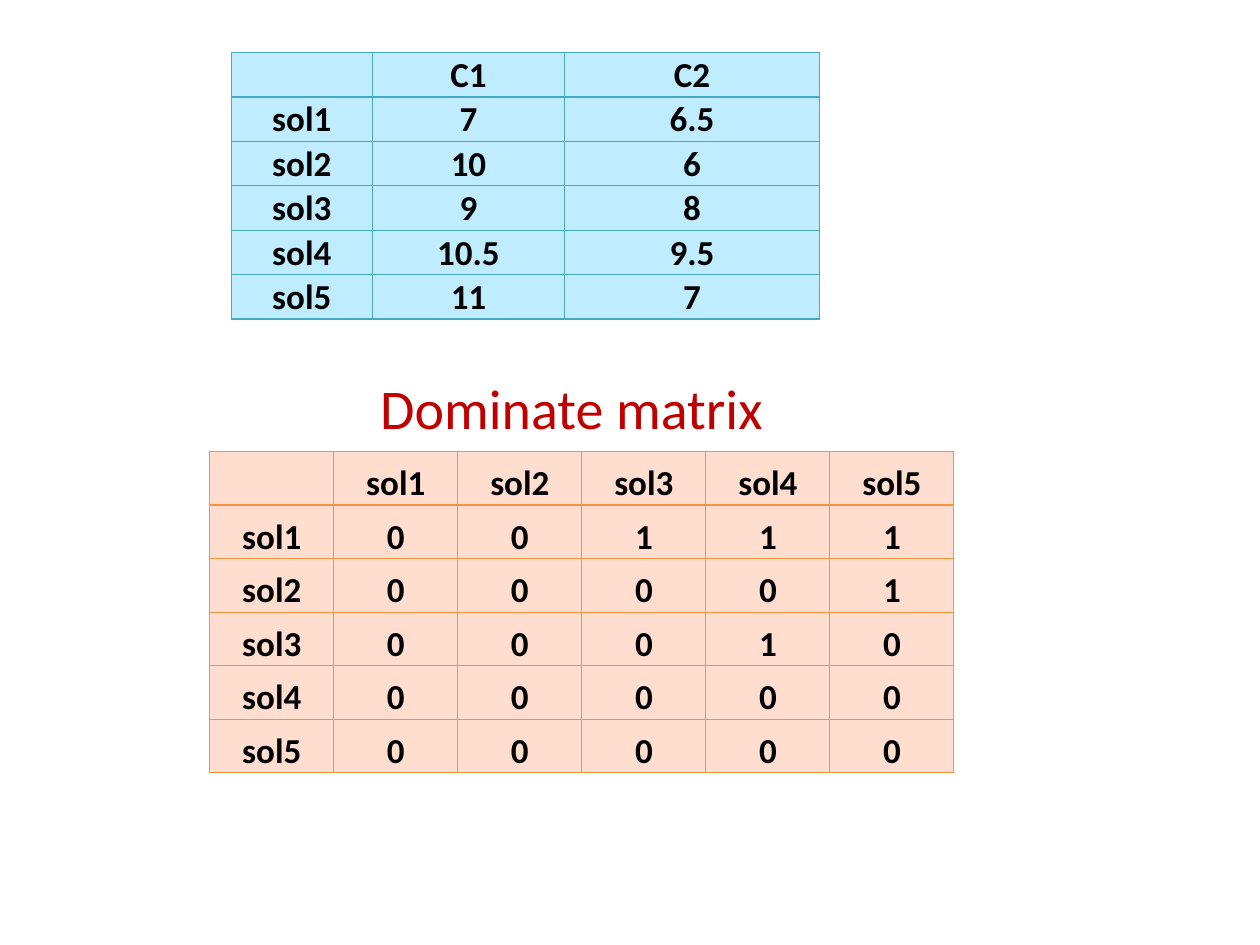
import pptx
import pptx.util
import pptx.dml.color
import pptx.enum.text
import pptx.oxml
import pptx.oxml.ns

Cm, Pt = pptx.util.Cm, pptx.util.Pt
PP_ALIGN, MSO_ANCHOR = pptx.enum.text.PP_ALIGN, pptx.enum.text.MSO_ANCHOR


def paint(color_format, hex_color):
    color_format.rgb = pptx.dml.color.RGBColor.from_string(hex_color)


def add_matrix(slide, left, top, widths, row_height, rows, fill, border):
    matrix = slide.shapes.add_table(
        len(rows), len(widths), Cm(left), Cm(top),
        Cm(sum(widths)), Cm(row_height * len(rows))).table
    for column, width in zip(matrix.columns, widths):
        column.width = Cm(width)
    for r, values in enumerate(rows):
        matrix.rows[r].height = Cm(row_height)
        for c, value in enumerate(values):
            cell = matrix.cell(r, c)
            cell.margin_left = cell.margin_right = cell.margin_top = Cm(0.03)
            cell.margin_bottom = 0
            cell.vertical_anchor = MSO_ANCHOR.BOTTOM
            # Borders come before the fill in the cell properties
            for side in ("lnL", "lnR", "lnT", "lnB"):
                cell._tc.get_or_add_tcPr().append(pptx.oxml.parse_xml(
                    f'<a:{side} {pptx.oxml.ns.nsdecls("a")} w="{Pt(0.75)}">'
                    f'<a:solidFill><a:srgbClr val="{border}"/></a:solidFill></a:{side}>'))
            cell.fill.solid()
            paint(cell.fill.fore_color, fill)
            if value:
                paragraph = cell.text_frame.paragraphs[0]
                paragraph.alignment = PP_ALIGN.CENTER
                run = paragraph.add_run()
                run.text = value
                run.font.name, run.font.size, run.font.bold = "Calibri", Pt(20), True
                paint(run.font.color, "000000")


presentation = pptx.Presentation()
presentation.slide_width, presentation.slide_height = Cm(25.4), Cm(19.05)
slide = presentation.slides.add_slide(presentation.slide_layouts[5])

solutions = ["sol1", "sol2", "sol3", "sol4", "sol5"]

# Criteria of each solution
criteria = [("7", "6.5"), ("10", "6"), ("9", "8"), ("10.5", "9.5"), ("11", "7")]
criteria_rows = [["", "C1", "C2"]]
criteria_rows += [[name, *scores] for name, scores in zip(solutions, criteria)]
add_matrix(slide, 4.66, 1.06, [2.85, 3.87, 5.14], 0.89, criteria_rows, "BFECFF", "46AAC5")

# Heading of the dominance matrix
heading = slide.shapes.title
heading.left, heading.top, heading.width, heading.height = Cm(7.41), Cm(7.41), Cm(8.26), Cm(1.62)
heading_frame = heading.text_frame
heading_frame.word_wrap = True
heading_frame.auto_size = pptx.enum.text.MSO_AUTO_SIZE.NONE
heading_frame.vertical_anchor = MSO_ANCHOR.TOP
heading_frame.paragraphs[0].alignment = PP_ALIGN.LEFT
heading_run = heading_frame.paragraphs[0].add_run()
heading_run.text = "Dominate matrix"
heading_run.font.name, heading_run.font.size = "Calibri", Pt(32)
paint(heading_run.font.color, "C00000")

# Dominance matrix: 1 where the row's solution dominates the column's
dominance = ["00111", "00001", "00010", "00000", "00000"]
dominance_rows = [["", *solutions]]
dominance_rows += [[name, *flags] for name, flags in zip(solutions, dominance)]
add_matrix(slide, 4.23, 9.1, [2.5] * 6, 1.08, dominance_rows, "FFDDCF", "F69240")

presentation.save("out.pptx")
